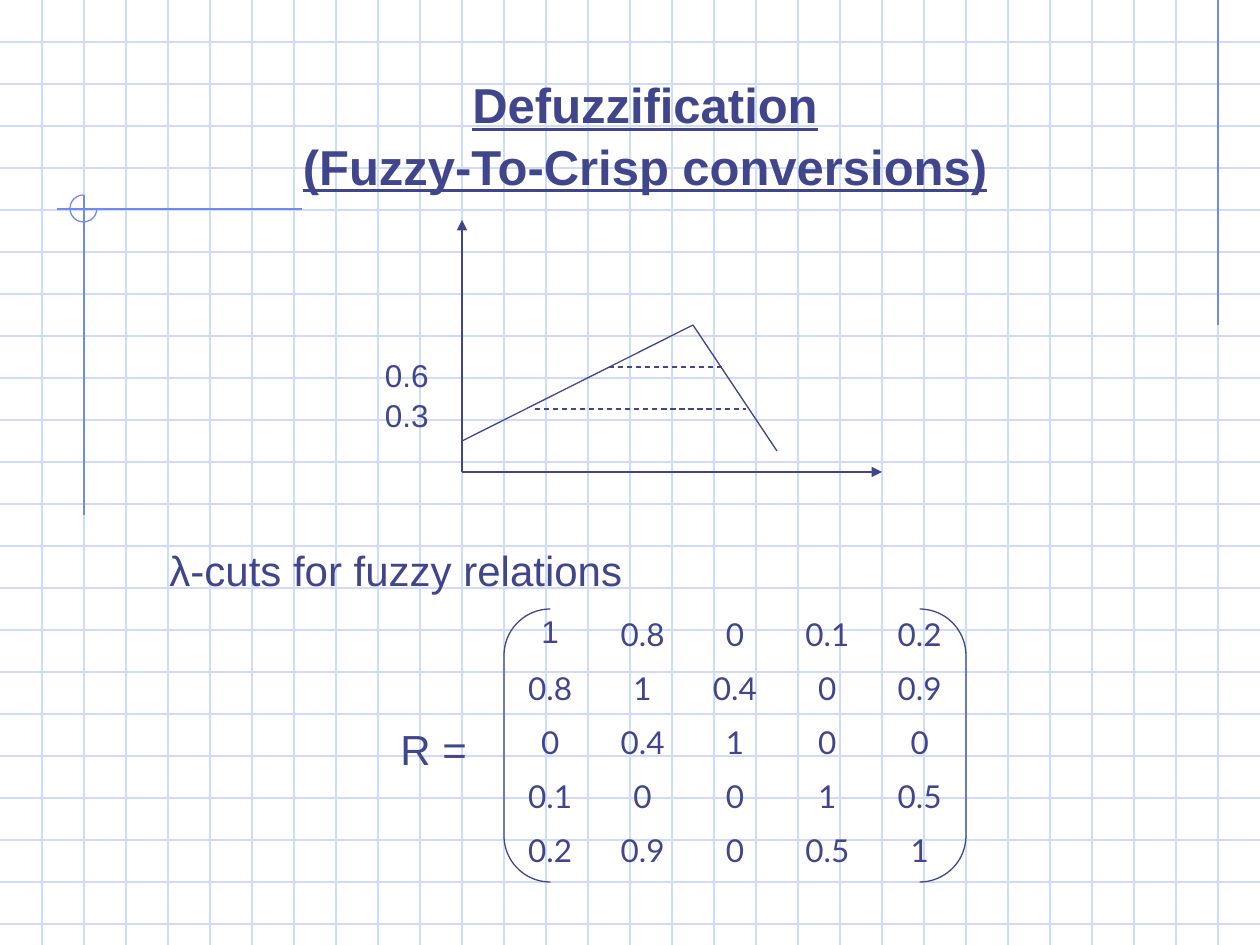
from pptx import Presentation, util as u
from pptx.dml.color import RGBColor
from pptx.enum import dml, shapes, text
from pptx.oxml.ns import qn
from lxml import etree

INK = RGBColor(0x40, 0x45, 0x8C)
GRID = RGBColor(0xCF, 0xDB, 0xFD)
BLUE = RGBColor(0x6F, 0x89, 0xF7)
PLAIN = "{2D5ABB26-0587-4C30-8999-92F81FD0307C}"
WIDE, HIGH, STEP = 1260, 945, 42
LEFT, MID, RIGHT = text.PP_ALIGN.LEFT, text.PP_ALIGN.CENTER, text.PP_ALIGN.RIGHT


def px(*nums):
    return [u.Emu(round(num * 914400 / 126)) for num in nums]


class Page:
    def __init__(self, deck, face="Arial", ink=INK):
        self.face, self.ink = face, ink
        self.items = deck.slides.add_slide(deck.slide_layouts[6]).shapes

    def style(self, para, size, align, face=None, bold=False):
        para.alignment = align
        font = para.font
        font.name, font.size = face or self.face, u.Pt(size)
        font.color.rgb = self.ink
        font.bold = font.underline = bold

    def line(self, x1, y1, x2, y2, color=INK, dash=False, arrow=False):
        item = self.items.add_connector(shapes.MSO_CONNECTOR.STRAIGHT, *px(x1, y1, x2, y2))
        item.line.color.rgb, item.line.width = color, u.Pt(0.75)
        if dash:
            item.line.dash_style = dml.MSO_LINE.DASH
        props = item._element.spPr
        if arrow:
            etree.SubElement(props.find(qn("a:ln")), qn("a:tailEnd"), type="triangle")
        etree.SubElement(props, qn("a:effectLst"))

    def shape(self, kind, box, color, *adjust):
        item = self.items.add_shape(kind, *px(*box))
        item.shadow.inherit = False
        item.fill.background()
        item.line.color.rgb, item.line.width = color, u.Pt(0.75)
        for i, value in enumerate(adjust):
            item.adjustments[i] = value

    def label(self, box, lines, size, align=LEFT, gap=0, top=10, bold=False):
        frame = self.items.add_textbox(*px(*box)).text_frame
        frame.word_wrap = True
        frame.margin_top = px(top)[0]
        frame.text = "\n".join(lines)
        for i, para in enumerate(frame.paragraphs):
            self.style(para, size, align, bold=bold)
            if i:
                para.space_before = u.Pt(gap)

    def table(self, box, rows):
        item = self.items.add_table(len(rows), len(rows[0]), *px(*box))
        item._element.xpath(".//a:tableStyleId")[0].text = PLAIN
        grid = item.table
        grid.first_row = grid.horz_banding = False
        for r, row in enumerate(rows):
            for c, value in enumerate(row):
                cell = grid.cell(r, c)
                cell.fill.background()
                cell.text = value
                face = "Lato" if r or c else self.face
                self.style(cell.text_frame.paragraphs[0], 18, MID, face)


def main():
    deck = Presentation()
    deck.slide_width, deck.slide_height = px(WIDE, HIGH)
    page = Page(deck)

    for y in range(STEP, HIGH, STEP):
        page.line(0, y, WIDE, y, GRID)
    for x in range(STEP, WIDE, STEP):
        page.line(x, 0, x, HIGH, GRID)
    page.line(1218, 0, 1218, 325, BLUE)
    page.line(302, 209, 57, 209, BLUE)
    page.line(84, 195, 84, 515, BLUE)
    page.shape(shapes.MSO_SHAPE.ARC, (70, 195, 27, 27), BLUE, 0, 162)

    page.label((136, 63, 1018, 126), ["Defuzzification", "(Fuzzy-To-Crisp conversions)"],
               28, MID, gap=1.5, top=12, bold=True)

    page.line(609, 367, 725, 367, dash=True)
    page.line(535, 409, 746, 409, dash=True)
    page.line(462, 472, 462, 220, arrow=True)
    page.line(462, 472, 882, 472, arrow=True)
    page.line(462, 441, 693, 325)
    page.line(693, 325, 777, 451)
    page.label((325, 346, 116, 86), ["0.6", "0.3"], 18, RIGHT, gap=1)

    page.label((157, 535, 977, 63), ["λ-cuts for fuzzy relations"], 24)
    page.table((504, 609, 462, 270), [
        ["1", "0.8", "0", "0.1", "0.2"],
        ["0.8", "1", "0.4", "0", "0.9"],
        ["0", "0.4", "1", "0", "0"],
        ["0.1", "0", "0", "1", "0.5"],
        ["0.2", "0.9", "0", "0.5", "1"],
    ])
    page.shape(shapes.MSO_SHAPE.DOUBLE_BRACKET, (504, 609, 462, 273), INK, 0.17)
    page.label((388, 714, 105, 63), ["R ="], 24)

    deck.save("out.pptx")


if __name__ == "__main__":
    main()
